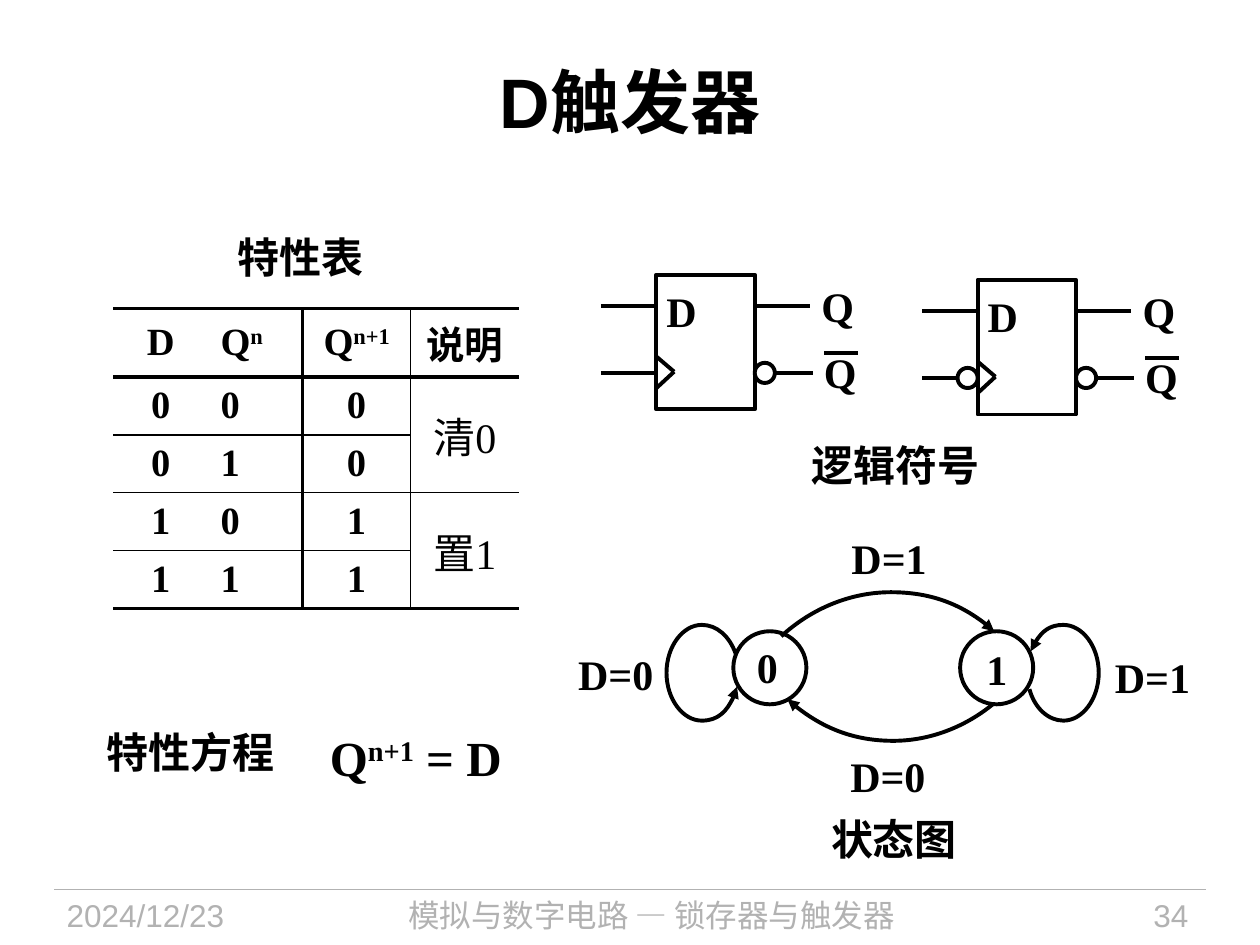
from typing import NamedTuple

from lxml.etree import SubElement
from pptx import Presentation
from pptx.dml.color import RGBColor
from pptx.enum.shapes import MSO_CONNECTOR, MSO_SHAPE
from pptx.enum.text import MSO_ANCHOR, PP_ALIGN
from pptx.oxml.ns import qn
from pptx.shapes.autoshape import Shape
from pptx.shapes.shapetree import GroupShapes, SlideShapes
from pptx.table import _Cell as Cell
from pptx.text.text import _Paragraph as Para
from pptx.util import Pt

PX = 9144  # 100 px to the inch
BLACK = RGBColor(0, 0, 0)
GREY = RGBColor(0xB2, 0xB2, 0xB2)
WHITE = RGBColor(0xFF, 0xFF, 0xFF)
SERIF, SANS, HAN = "Times New Roman", "Arial", "Noto Sans CJK SC"
LEFT, MID, RIGHT = PP_ALIGN.LEFT, PP_ALIGN.CENTER, PP_ALIGN.RIGHT
THICK, FINE, THIN = 2.25, 1, 0.75

Tree = SlideShapes | GroupShapes
Box = tuple[int, int, int, int]
Spot = tuple[int, int]


class Run(NamedTuple):
    text: str
    up: bool = False


class Style(NamedTuple):
    size: int = 24
    font: str = SERIF
    bold: bool = True
    color: RGBColor = BLACK
    align: PP_ALIGN = LEFT


class Label(NamedTuple):
    box: Box
    runs: list[Run]
    style: Style = Style()
    wrap: bool = False
    anchor: MSO_ANCHOR = MSO_ANCHOR.TOP


class Arc(NamedTuple):
    """A chain of cubic curves whose arrowhead sits at the start."""
    start: Spot
    turns: list[Spot]


HEAD = Style(font=SANS, align=MID)
FOOT = Style(18, SANS, False, GREY)
Q_NEXT = [Run("Q"), Run("n+1", True)]

LABELS = [
    Label((43, 706, 188, 44), [Run("2024/12/23")], FOOT, True),
    Label((249, 706, 536, 44), [Run("模拟与数字电路 — 锁存器与触发器")],
          FOOT._replace(font=HAN, align=MID), True),
    Label((820, 706, 133, 44), [Run("34")], FOOT._replace(align=RIGHT), True),
    Label((50, 17, 900, 125), [Run("D"), Run("触发器")],
          HEAD._replace(size=40), True, MSO_ANCHOR.MIDDLE),
    Label((169, 179, 139, 50), [Run("特性表")], HEAD, True),
    Label((618, 344, 185, 50), [Run("逻辑符号")], HEAD, True),
    Label((649, 641, 121, 50), [Run("状态图")], HEAD),
    Label((75, 572, 165, 51), [Run("特性方程")], wrap=True),
    Label((252, 572, 173, 57), Q_NEXT + [Run(" = D")], Style(28),
          anchor=MSO_ANCHOR.MIDDLE),
    Label((666, 418, 80, 50), [Run("D=1")]),
    Label((665, 591, 97, 50), [Run("D=0")], wrap=True),
    Label((875, 512, 80, 50), [Run("D=1")]),
    Label((449, 510, 80, 50), [Run("D=0")]),
]

ARCS = [
    Arc((625, 555), [(648, 576), (678, 588), (709, 588),
                     (738, 588), (766, 577), (788, 559)]),
    Arc((789, 501), [(767, 481), (738, 470), (707, 470),
                     (675, 470), (644, 483), (620, 505)]),
    Arc((818, 517), [(823, 504), (833, 496), (844, 496),
                     (859, 496), (872, 513), (872, 534),
                     (872, 555), (859, 572), (844, 572),
                     (832, 572), (821, 562), (817, 547)]),
    Arc((585, 545), [(581, 561), (570, 572), (557, 572),
                     (542, 572), (529, 555), (529, 534),
                     (529, 513), (542, 496), (557, 496),
                     (569, 496), (579, 505), (584, 519)]),
]

STATES = [
    ((582, 501, 58, 58), Label((591, 504, 37, 50), [Run("0")])),
    ((762, 501, 58, 58), Label((773, 506, 37, 50), [Run("1")])),
]

HEADER = [[Run("D")], [Run("Q"), Run("n", True)], Q_NEXT, [Run("说明")]]
TRUTH = ["000", "010", "101", "111"]
NOTES = {1: ("清", "0"), 3: ("置", "1")}


def write(para: Para, runs: list[Run], style: Style) -> None:
    para.alignment = style.align
    for item in runs:
        run = para.add_run()
        run.text = item.text
        font = run.font
        font.size, font.name, font.bold = Pt(style.size), style.font, style.bold
        font.color.rgb = style.color
        mark = font._element
        SubElement(mark, qn("a:ea"), typeface=HAN)
        if item.up:
            mark.set("baseline", "30000")


def put(tree: Tree, label: Label) -> None:
    frame = tree.add_textbox(*(n * PX for n in label.box)).text_frame
    frame.word_wrap = label.wrap
    frame.vertical_anchor = label.anchor
    write(frame.paragraphs[0], label.runs, label.style)


def ink(shape: Shape, fill: RGBColor | None = None) -> None:
    shape.shadow.inherit = False
    if fill is None:
        shape.fill.background()
    else:
        shape.fill.solid()
        shape.fill.fore_color.rgb = fill
    shape.line.color.rgb = BLACK
    shape.line.width = Pt(THICK)


def draw(tree: Tree, kind: MSO_SHAPE, box: Box, fill: RGBColor | None = None) -> None:
    ink(tree.add_shape(kind, *(n * PX for n in box)), fill)


def wire(tree: Tree, start: Spot, end: Spot,
         width: float = THICK, color: RGBColor = BLACK) -> None:
    line = tree.add_connector(MSO_CONNECTOR.STRAIGHT, *(n * PX for n in start + end))
    line.line.color.rgb = color
    line.line.width = Pt(width)
    SubElement(line._element.spPr, qn("a:effectLst"))


def bend(tree: Tree, arc: Arc) -> None:
    pen = tree.build_freeform(*arc.start, scale=PX)
    pen.add_line_segments(arc.turns, close=False)
    shape = pen.convert_to_shape()
    ink(shape)
    track = shape._element.xpath(".//a:path")[0]
    legs = track.findall(qn("a:lnTo"))
    for i in range(0, len(legs), 3):
        curve = SubElement(track, qn("a:cubicBezTo"))
        for leg in legs[i:i + 3]:
            curve.append(leg[0])
            track.remove(leg)
    SubElement(shape.line._get_or_add_ln(), qn("a:headEnd"), type="triangle")


def symbol(tree: Tree, x: int, y: int, falling: bool) -> None:
    """Draw a flip-flop whose body has its top left corner at x, y."""
    draw(tree, MSO_SHAPE.RECTANGLE, (x, y, 78, 107))
    for a, b, c, d in [(-44, 25, 0, 25), (-44, 78, 0, 78), (78, 25, 122, 25),
                       (81, 78, 124, 78), (133, 62, 160, 62),
                       (0, 65, 14, 77), (0, 90, 14, 77)]:
        wire(tree, (x + a, y + b), (x + c, y + d))
    for text, dx, dy, wide in [("D", -2, 4, 39), ("Q", 121, 0, 46), ("Q", 123, 52, 46)]:
        put(tree, Label((x + dx, y + dy, wide, 50), [Run(text)]))
    for dx in (78, -16) if falling else (78,):
        draw(tree, MSO_SHAPE.OVAL, (x + dx, y + 70, 16, 16), WHITE)


def edge(cell: Cell, sides: dict[str, float]) -> None:
    props = cell._tc.get_or_add_tcPr()
    for side in "LRTB":
        line = SubElement(props, qn(f"a:ln{side}"))
        if side in sides:
            line.set("w", str(Pt(sides[side])))
            fill = SubElement(line, qn("a:solidFill"))
            SubElement(fill, qn("a:srgbClr"), val=str(BLACK))
        else:
            SubElement(line, qn("a:noFill"))
    cell.fill.background()


def grid(tree: Tree) -> None:
    table = tree.add_table(5, 4, *(n * PX for n in (90, 245, 323, 233))).table
    table.first_row = table.horz_banding = False
    for col, wide in zip(table.columns, (75, 75, 86, 86)):
        col.width = wide * PX
    for row in table.rows:
        row.height = 46 * PX
    rows = [HEADER] + [[[Run(bit)] for bit in bits] for bits in TRUTH]
    for r, note in NOTES.items():
        table.cell(r, 3).merge(table.cell(r + 1, 3))
        rows[r].append([Run(part) for part in note])
    for r, row in enumerate(rows):
        for c, runs in enumerate(row):
            cell = table.cell(r, c)
            cell.vertical_anchor = MSO_ANCHOR.MIDDLE
            plain = c == 3 and r > 0
            write(cell.text_frame.paragraphs[0], runs,
                  Style(24 if plain else 22, bold=not plain,
                        align=LEFT if c == 1 else MID))
            last = r + cell.span_height - 1 if cell.is_merge_origin else r
            sides = {"T": THICK if r < 2 else THIN,
                     "B": THICK if last in (0, 4) else THIN}
            rules = {1: THICK, 2: FINE}
            if c in rules:
                sides["R"] = rules[c]
            if c - 1 in rules:
                sides["L"] = rules[c - 1]
            edge(cell, sides)


def main() -> None:
    deck = Presentation()
    deck.slide_width, deck.slide_height = 1000 * PX, 750 * PX
    tree = deck.slides.add_slide(deck.slide_layouts[6]).shapes
    wire(tree, (43, 706), (957, 706), THIN, GREY)
    grid(tree)
    for arc in ARCS:
        bend(tree, arc)
    for label in LABELS:
        put(tree, label)
    states = tree.add_group_shape().shapes
    for ring, name in STATES:
        draw(states, MSO_SHAPE.OVAL, ring)
        put(states, name)
    for x, y, falling in [(521, 218, False), (776, 222, True)]:
        symbol(tree.add_group_shape().shapes, x, y, falling)
    deck.save("out.pptx")


if __name__ == "__main__":
    main()
